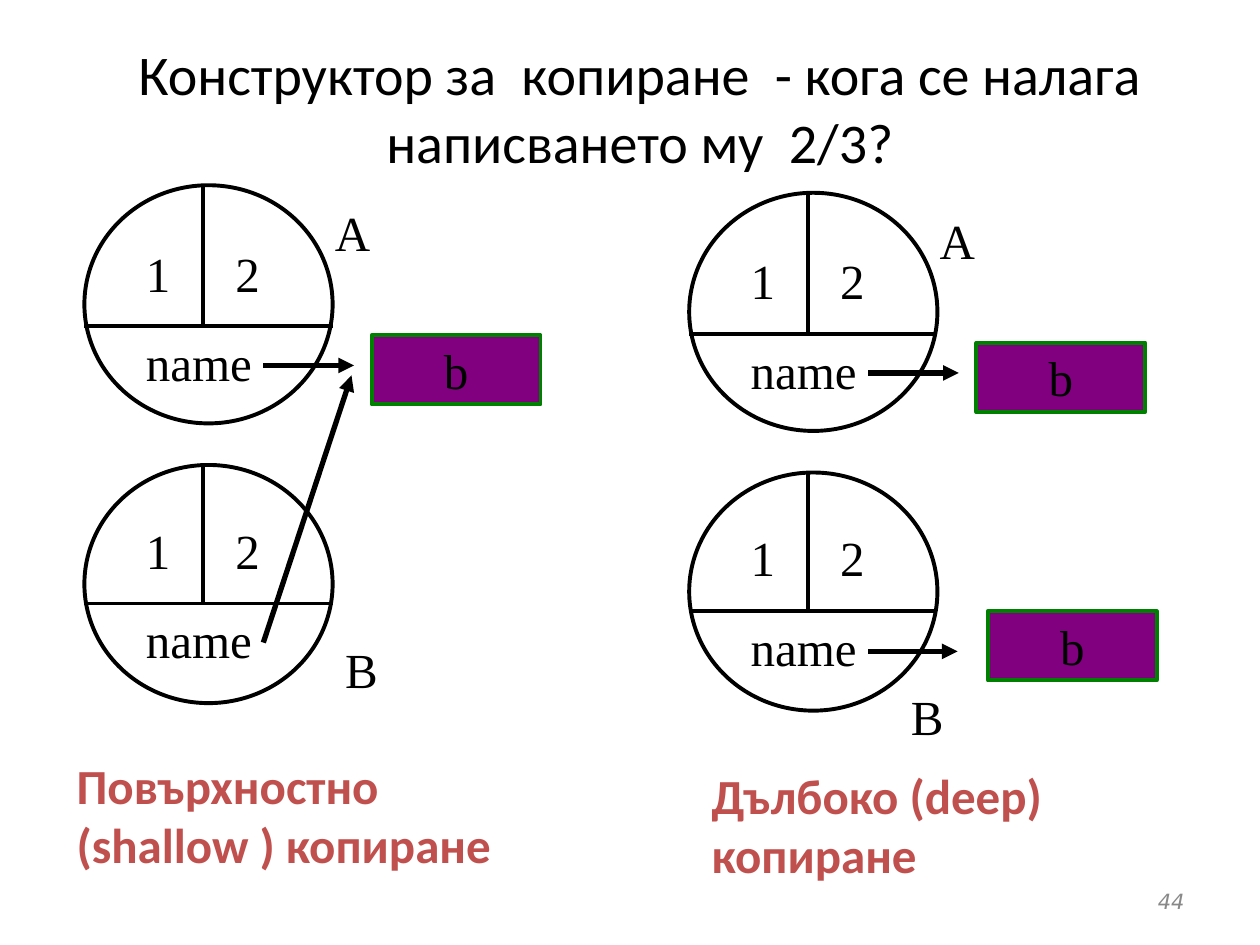
import pptx
import pptx.util
import pptx.dml.color
import pptx.enum.shapes
import pptx.enum.text
from lxml import etree

Inches = pptx.util.Inches
Pt = pptx.util.Pt
Shape = pptx.enum.shapes.MSO_SHAPE
Align = pptx.enum.text.PP_ALIGN
Anchor = pptx.enum.text.MSO_ANCHOR
NS = "{http://schemas.openxmlformats.org/drawingml/2006/main}"

BLACK, RED, GREY = "000000", "C0504D", "898989"
PURPLE, GREEN = "800080", "008000"


def rgb(code):
    return pptx.dml.color.RGBColor.from_string(code)


class Board:
    """Holds the slide being drawn and its text style."""
    serif, sans, size = "Times New Roman", "Calibri", 28

    def __init__(self, slide):
        self.slide = slide

    def fill_text(self, frame, text, font=serif, size=size, color=BLACK,
                  align=Align.LEFT, bold=False, slant=False):
        frame.text = text
        for para in frame.paragraphs:
            para.alignment = align
            for run in para.runs:
                style = run.font
                style.name, style.size = font, Pt(size)
                style.bold, style.italic = bold, slant
                style.color.rgb = rgb(color)

    def text(self, text, x, y, w, h, anchor=Anchor.TOP, pad=(0.1, 0.05), **look):
        box = self.slide.shapes.add_textbox(
            Inches(x), Inches(y), Inches(w), Inches(h))
        frame = box.text_frame
        frame.word_wrap = True
        frame.vertical_anchor = anchor
        frame.margin_left = frame.margin_right = Inches(pad[0])
        frame.margin_top = frame.margin_bottom = Inches(pad[1])
        self.fill_text(frame, text, **look)

    def shape(self, kind, x, y, w, h, line, fill=None):
        item = self.slide.shapes.add_shape(
            kind, Inches(x), Inches(y), Inches(w), Inches(h))
        item.shadow.inherit = False
        if fill:
            item.fill.solid()
            item.fill.fore_color.rgb = rgb(fill)
        else:
            item.fill.background()
        item.line.color.rgb = rgb(line)
        item.line.width = Pt(2.25)
        return item

    def line(self, x1, y1, x2, y2, width=2.25, arrow=False):
        item = self.slide.shapes.add_connector(
            pptx.enum.shapes.MSO_CONNECTOR.STRAIGHT,
            Inches(x1), Inches(y1), Inches(x2), Inches(y2))
        item.line.color.rgb = rgb(BLACK)
        item.line.width = Pt(width)
        props = item.element.spPr
        if arrow:
            etree.SubElement(props.find(NS + "ln"), NS + "tailEnd",
                             type="triangle")
        etree.SubElement(props, NS + "effectLst")

    def arrow(self, *ends):
        self.line(*ends, width=3, arrow=True)

    def node(self, x, y, split):
        """Draw an object: a circle cut at height split, with three fields."""
        self.shape(Shape.OVAL, x, y, 1.97, 1.89, BLACK)
        self.line(x, split, x + 1.97, split)
        self.line(x + 0.94, y, x + 0.94, split)
        self.text("1", x + 0.39, split - 0.71, 0.52, 0.57)
        self.text("2", x + 1.1, split - 0.71, 0.79, 0.57)
        self.text("name", x + 0.39, split, 1.71, 0.57)

    def value(self, x, y):
        box = self.shape(Shape.RECTANGLE, x, y, 1.34, 0.55, GREEN, PURPLE)
        box.text_frame.word_wrap = False
        box.text_frame.vertical_anchor = Anchor.MIDDLE
        self.fill_text(box.text_frame, "b", align=Align.CENTER)

    def label(self, text, x, y):
        self.text(text, x, y, 0.95, 0.57)

    def note(self, text, x, y, w):
        self.text(text, x, y, w, 1.04, font=self.sans, color=RED, bold=True)


def main():
    deck = pptx.Presentation()
    deck.slide_width, deck.slide_height = Inches(10), Inches(7.5)
    board = Board(deck.slides.add_slide(deck.slide_layouts[6]))

    board.text("Конструктор за  копиране  - кога се налага написването му  2/3?",
               0.51, 0.36, 9.14, 0.98, anchor=Anchor.MIDDLE, pad=(0, 0),
               font=board.sans, size=32, align=Align.CENTER)
    board.text("44", 7.17, 6.95, 2.33, 0.4, anchor=Anchor.MIDDLE,
               font="DejaVu Sans", size=12, color=GREY,
               align=Align.RIGHT, slant=True)

    for x, drop in ((0.67, 0), (5.47, 0.06)):
        board.node(x, 1.47 + drop, 2.59 + drop)
        board.node(x, 3.69 + drop, 4.79 + drop)
        board.arrow(x + 1.42, 2.9 + drop, x + 2.14, 2.9 + drop)
        board.value(x + 2.28, 2.66 + drop)
        board.label("A", x + 1.89, 1.56 + drop)

    # Shallow: both names share one value
    board.arrow(2.09, 5.1, 2.79, 2.98)
    board.label("B", 2.64, 5.03)
    board.note("Повърхностно\n(shallow ) копиране", 0.51, 5.95, 3.78)

    # Deep: the second name has its own value
    board.arrow(6.89, 5.17, 7.6, 5.17)
    board.value(7.84, 4.85)
    board.label("B", 7.13, 5.4)
    board.note("Дълбоко (deep)\nкопиране", 5.55, 6.03, 4.02)

    deck.save("out.pptx")


if __name__ == "__main__":
    main()
